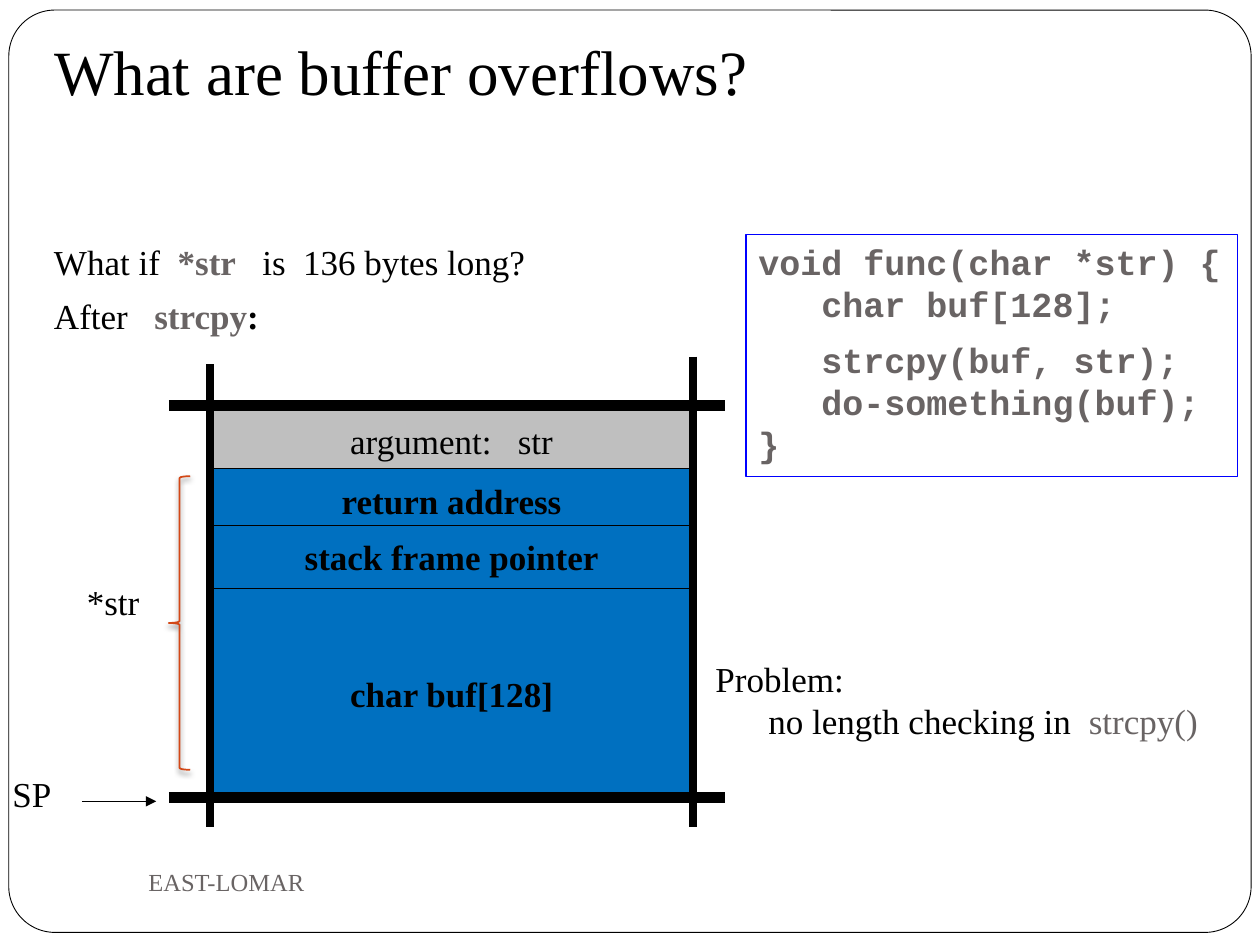
from lxml import etree
from pptx import Presentation
from pptx.dml.color import RGBColor
from pptx.enum import shapes, text
from pptx.oxml import ns
from pptx.util import Inches, Pt

BLACK, GRAY, BLUE = "000000", "696464", "0070C0"
SERIF, MONO = "Times New Roman", "Courier New"
LEFT, CENTER = text.PP_ALIGN.LEFT, text.PP_ALIGN.CENTER
A = ns.nsdecls("a")


def rgb(value):
    return RGBColor.from_string(value)


def write(shape, paragraphs, size=20, font=SERIF, align=LEFT, **frame_format):
    """Each paragraph is (space before, indent in inches, runs of (text, colour, bold))."""
    frame = shape.text_frame
    frame.word_wrap = False
    for key, value in frame_format.items():
        setattr(frame, key, value)
    for i, (before, indent, runs) in enumerate(paragraphs):
        paragraph = frame.paragraphs[0] if i == 0 else frame.add_paragraph()
        paragraph.alignment = align
        paragraph.space_before = Pt(before)
        if indent:
            paragraph._p.get_or_add_pPr().set("marL", str(Inches(indent)))
        for words, color, bold in runs:
            run = paragraph.add_run()
            run.text = words
            look = {"size": Pt(size), "name": font, "bold": bold}
            for key, value in look.items():
                setattr(run.font, key, value)
            run.font.color.rgb = rgb(color)


prs = Presentation()
prs.slide_width, prs.slide_height = Inches(10), Inches(7.5)
slide = prs.slides.add_slide(prs.slide_layouts[5])
title = slide.shapes.title

# Outlined shapes: kind, place, fill, line colour, line width
stack_left, stack_top, stack_width, stack_bottom = 1.67, 3.22, 3.83, 6.33
stack_right = stack_left + stack_width
kinds = shapes.MSO_SHAPE
outlines = {
    "border": (kinds.ROUNDED_RECTANGLE, (0.07, 0.08, 9.86, 7.32), "FFFFFF", BLACK, 0.5),
    "code": (kinds.RECTANGLE, (5.92, 1.86, 3.9, 1.92), None, "0000FF", 0.75),
}
cells = [
    ("argument:   str", 3.22, 0.56, "BFBFBF", False),
    ("return address", 3.72, 0.5, BLUE, True),
    ("stack frame pointer", 4.17, 0.5, BLUE, True),
    ("char buf[128]", 4.67, 1.67, BLUE, True),
]
for label, top, height, fill, bold in cells:
    outlines[label] = (kinds.RECTANGLE, (stack_left, top, stack_width, height), fill, BLACK, 0.75)
outlines["frame"] = (kinds.RECTANGLE,
                     (stack_left, stack_top, stack_width, stack_bottom - stack_top),
                     None, BLACK, 4.5)
outlines["brace"] = (kinds.LEFT_BRACE, (1.34, 3.78, 0.17, 2.33), None, "D34817", 1)

drawn = {}
for part, (kind, place, fill, color, width) in outlines.items():
    shape = drawn[part] = slide.shapes.add_shape(kind, *map(Inches, place))
    shape.shadow.inherit = False
    if fill:
        shape.fill.solid()
        shape.fill.fore_color.rgb = rgb(fill)
    else:
        shape.fill.background()
    shape.line.color.rgb = rgb(color)
    shape.line.width = Pt(width)
drawn["border"].adjustments[0] = 0.05

# Soft shadow under the brace
effects = drawn["brace"]._element.spPr.find(ns.qn("a:effectLst"))
effects.append(etree.fromstring(
    f'<a:outerShdw {A} blurRad="38100" dist="25400" dir="5400000" rotWithShape="0">'
    '<a:srgbClr val="000000"><a:alpha val="50000"/></a:srgbClr></a:outerShdw>'))

# Stack cell labels
for label, top, height, fill, bold in cells:
    write(drawn[label], [(0, 0, [(label, BLACK, bold)])], align=CENTER,
          vertical_anchor=text.MSO_ANCHOR.MIDDLE)

# Stack rails and the stack pointer arrow
rails = [(1.34, y, 5.75, y, 6) for y in (stack_bottom, stack_top)]
for x, top in ((stack_left, 2.89), (stack_right, 2.83)):
    rails += [(x, top, x, 3.33, 4.5), (x, 5.77, x, 6.56, 4.5)]
pointer = (0.65, 6.36, 1.24, 6.36, 0.75)
for *ends, width in rails + [pointer]:
    line = slide.shapes.add_connector(shapes.MSO_CONNECTOR.STRAIGHT, *map(Inches, ends))
    line.line.color.rgb = rgb(BLACK)
    line.line.width = Pt(width)
    etree.SubElement(line._element.spPr, ns.qn("a:effectLst"))
line.line._get_or_add_ln().append(etree.fromstring(f'<a:tailEnd {A} type="triangle"/>'))

# Title, brought in front of the border
drawn["border"]._element.addnext(title._element)
title.left, title.top, title.width, title.height = map(Inches, (0.33, 0.33, 8.5, 0.63))
write(title, [(0, 0, [("What are buffer overflows?", BLACK, False)])], size=36,
      word_wrap=True, auto_size=text.MSO_AUTO_SIZE.NONE,
      vertical_anchor=text.MSO_ANCHOR.BOTTOM, margin_bottom=Inches(0.1))

# Code listing: space before, indent, line
code = [
    (0, 0, "void func(char *str) {"),
    (0, 0.5, "char buf[128];"),
    (8, 0.5, "strcpy(buf, str);"),
    (0, 0.5, "do-something(buf);"),
    (0, 0, "}"),
]
write(drawn["code"], [(before, indent, [(words, GRAY, True)]) for before, indent, words in code],
      font=MONO, vertical_anchor=text.MSO_ANCHOR.TOP)

# Notes around the stack
notes = [
    ((0.33, 1.86, 4.18, 0.88), [
        (0, 0, [("What if  ", BLACK, False), ("*str", GRAY, True),
                ("   is  136 bytes long?", BLACK, False)]),
        (7, 0, [("After   ", BLACK, False), ("strcpy", GRAY, True), (":", BLACK, True)])]),
    ((0, 6.08, 0.58, 0.44), [(0, 0, [("SP", BLACK, False)])]),
    ((0.59, 4.56, 0.62, 0.44), [(0, 0, [("*str", BLACK, False)])]),
    ((5.58, 5.17, 4.05, 0.77), [
        (0, 0, [("Problem:", BLACK, False)]),
        (0, 0.42, [("no length checking in  ", BLACK, False), ("strcpy()", GRAY, False)])]),
]
for place, paragraphs in notes:
    write(slide.shapes.add_textbox(*map(Inches, place)), paragraphs,
          auto_size=text.MSO_AUTO_SIZE.SHAPE_TO_FIT_TEXT)

# Footer
footer = slide.shapes.add_textbox(*map(Inches, (1.08, 6.75, 4.33, 0.5)))
write(footer, [(0, 0, [("EAST-LOMAR", GRAY, False)])], size=14, word_wrap=True,
      vertical_anchor=text.MSO_ANCHOR.MIDDLE)

prs.save("out.pptx")
